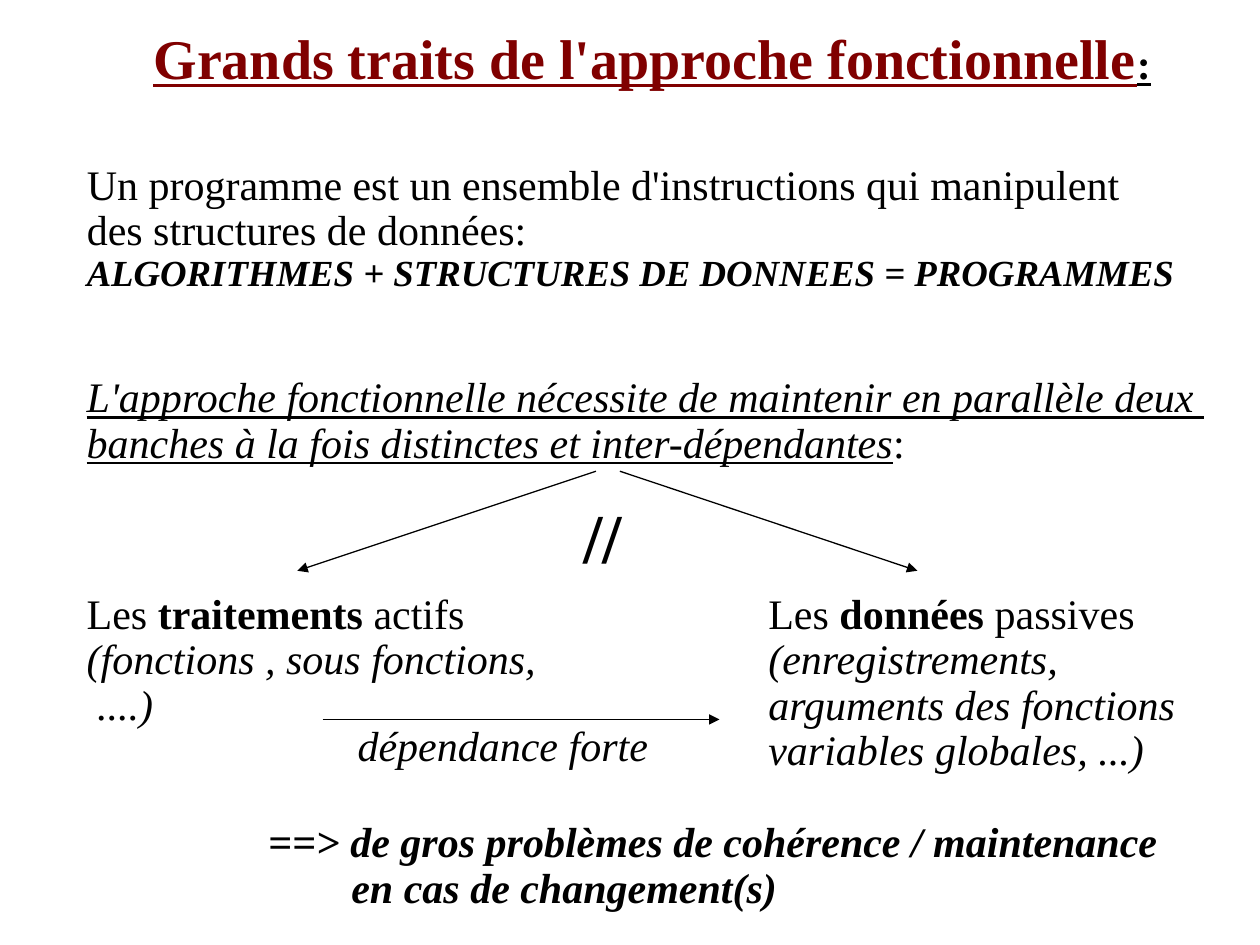
import pptx
import pptx.util
import pptx.dml.color
import pptx.enum.shapes
import pptx.oxml.ns
import lxml.etree

Inches = pptx.util.Inches
Pt = pptx.util.Pt
RGBColor = pptx.dml.color.RGBColor

BLACK = RGBColor(0x00, 0x00, 0x00)
MAROON = RGBColor(0x80, 0x00, 0x00)
WHITE = RGBColor(0xFF, 0xFF, 0xFF)
FONT_NAME = "Times New Roman"
LINE_SPACING = 0.9


def add_text(left, top, width, height, lines, size=24, bold=None, italic=None):
    box = slide.shapes.add_textbox(Inches(left), Inches(top), Inches(width), Inches(height))
    frame = box.text_frame
    frame.word_wrap = True
    for index, runs in enumerate(lines):
        paragraph = frame.paragraphs[0] if index == 0 else frame.add_paragraph()
        paragraph.line_spacing = LINE_SPACING
        paragraph.font.name = FONT_NAME
        paragraph.font.size = Pt(size)
        paragraph.font.bold = bold
        paragraph.font.italic = italic
        paragraph.font.color.rgb = BLACK
        for text in [runs] if isinstance(runs, str) else runs:
            paragraph.add_run().text = text
    return frame.paragraphs


def add_arrow(start_x, start_y, end_x, end_y):
    arrow = slide.shapes.add_connector(
        pptx.enum.shapes.MSO_CONNECTOR.STRAIGHT,
        Inches(start_x), Inches(start_y), Inches(end_x), Inches(end_y))
    arrow.line.color.rgb = BLACK
    arrow.line.width = Pt(0.75)
    qn = pptx.oxml.ns.qn
    lxml.etree.SubElement(arrow.line._get_or_add_ln(), qn("a:tailEnd"), type="triangle")
    lxml.etree.SubElement(arrow._element.spPr, qn("a:effectLst"))


presentation = pptx.Presentation()
presentation.slide_width = Inches(10)
presentation.slide_height = Inches(7.5)
slide = presentation.slides.add_slide(presentation.slide_layouts[6])
slide.background.fill.solid()
slide.background.fill.fore_color.rgb = WHITE

title = add_text(1.12, 0.2, 8.3, 0.59,
                 [["Grands traits de l'approche fonctionnelle", ":"]], bold=True)[0]
title.font.underline = True
title.runs[0].font.size = Pt(32)
title.runs[0].font.color.rgb = MAROON

definition = add_text(0.59, 1.25, 8.92, 1.11, [
    "Un programme est un ensemble d'instructions qui manipulent",
    "des structures de données:",
    "ALGORITHMES + STRUCTURES DE DONNEES = PROGRAMMES",
])
definition[2].font.size = Pt(21)
definition[2].font.bold = True
definition[2].font.italic = True

approach = add_text(0.59, 2.94, 9.2, 0.8, [
    "L'approche fonctionnelle nécessite de maintenir en parallèle deux ",
    ["banches à la fois distinctes et inter-dépendantes", ":"],
])
for paragraph in approach:
    paragraph.runs[0].font.italic = True
    paragraph.runs[0].font.underline = True

branches = [
    (0.59, 4.2, [["Les ", "traitements", " actifs"],
                 "(fonctions , sous fonctions,", " ....)"]),
    (6, 3.6, [["Les ", "données", " passives"],
              "(enregistrements,", "arguments des fonctions", "variables globales, ...)"]),
]
for left, width, lines in branches:
    heading, *details = add_text(left, 4.66, width, 0.1 + 0.35 * len(lines), lines)
    heading.runs[1].font.bold = True
    for paragraph in details:
        paragraph.font.italic = True

add_arrow(2.56, 5.71, 5.71, 5.71)
add_arrow(4.73, 3.74, 2.36, 4.53)
add_arrow(4.92, 3.74, 7.28, 4.53)

add_text(2.74, 5.71, 2.97, 0.47, ["dépendance forte"], italic=True)
add_text(4.53, 3.94, 0.6, 0.71, ["//"], size=40, bold=True)
conclusion = add_text(2.03, 6.47, 7.35, 0.81, [
    "==> de gros problèmes de cohérence / maintenance",
    "en cas de changement(s)",
], bold=True, italic=True)
conclusion[1]._p.get_or_add_pPr().set("marL", str(Inches(0.66)))

presentation.save("out.pptx")
